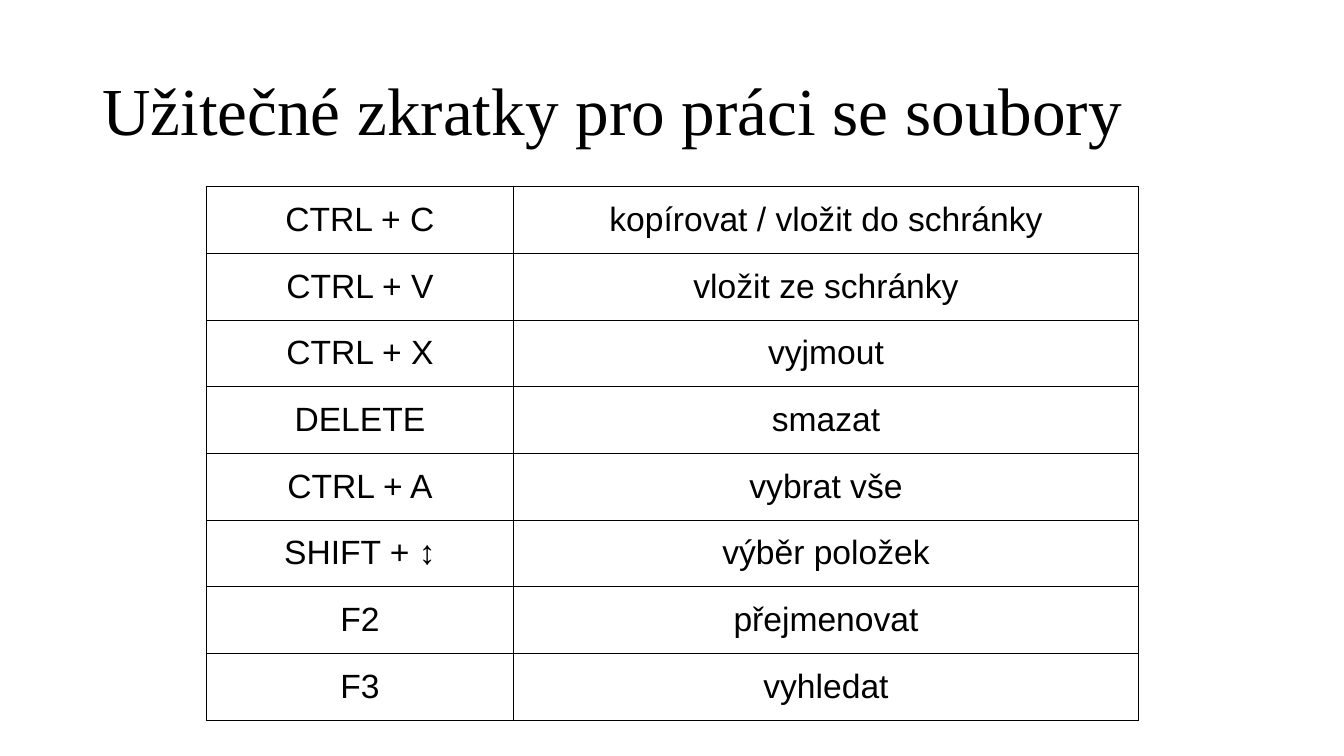
"""Build a slide with a table of keyboard shortcuts for working with files."""
from dataclasses import dataclass

import pptx
import pptx.dml.color
import pptx.enum.text
import pptx.oxml
import pptx.oxml.ns
import pptx.util

Cm = pptx.util.Cm
Pt = pptx.util.Pt
BLACK = "000000"
COLUMN_WIDTHS = (7.74, 15.75)
ROW_HEIGHT = 1.68
CELL_MARGIN = Cm(0.2)


@dataclass(frozen=True)
class Shortcut:
    keys: str
    action: str


SHORTCUTS = (
    Shortcut("CTRL + C", "kopírovat / vložit do schránky"),
    Shortcut("CTRL + V", "vložit ze schránky"),
    Shortcut("CTRL + X", "vyjmout"),
    Shortcut("DELETE", "smazat"),
    Shortcut("CTRL + A", "vybrat vše"),
    Shortcut("SHIFT + ↕", "výběr položek"),
    Shortcut("F2", "přejmenovat"),
    Shortcut("F3", "vyhledat"),
)


def rgb(color: str) -> pptx.dml.color.RGBColor:
    return pptx.dml.color.RGBColor.from_string(color)


def set_font(p, name: str, size: float) -> None:
    p.font.name = name
    p.font.size = Pt(size)
    p.font.bold = False
    p.font.color.rgb = rgb(BLACK)


def set_borders(cell, color: str, width: float) -> None:
    tc_pr = cell._tc.get_or_add_tcPr()
    for position, side in enumerate(("lnL", "lnR", "lnT", "lnB")):
        line = pptx.oxml.parse_xml(
            f'<a:{side} {pptx.oxml.ns.nsdecls("a")} w="{Pt(width)}">'
            f'<a:solidFill><a:srgbClr val="{color}"/></a:solidFill></a:{side}>'
        )
        tc_pr.insert(position, line)


def add_title(s, text: str) -> None:
    sp = s.shapes.add_textbox(Cm(2.33), Cm(1.02), Cm(29.21), Cm(3.68))
    tf = sp.text_frame
    tf.word_wrap = True
    tf.vertical_anchor = pptx.enum.text.MSO_ANCHOR.MIDDLE
    p = tf.paragraphs[0]
    p.text = text
    p.line_spacing = 0.9
    set_font(p, "Times New Roman", 48)


def fill_cell(cell, text: str) -> None:
    cell.fill.background()
    cell.vertical_anchor = pptx.enum.text.MSO_ANCHOR.MIDDLE
    cell.margin_left = cell.margin_right = CELL_MARGIN
    cell.margin_top = cell.margin_bottom = CELL_MARGIN
    p = cell.text_frame.paragraphs[0]
    p.text = text
    p.alignment = pptx.enum.text.PP_ALIGN.CENTER
    set_font(p, "Arial", 24)
    set_borders(cell, BLACK, 0.6)


def add_shortcut_table(s, shortcuts: tuple[Shortcut, ...]) -> None:
    table = s.shapes.add_table(
        len(shortcuts), len(COLUMN_WIDTHS), Cm(5.2), Cm(4.7),
        Cm(sum(COLUMN_WIDTHS)), Cm(ROW_HEIGHT * len(shortcuts)),
    ).table
    table.first_row = False
    table.horz_banding = False
    for column, width in zip(table.columns, COLUMN_WIDTHS):
        column.width = Cm(width)
    for row, shortcut in zip(table.rows, shortcuts):
        row.height = Cm(ROW_HEIGHT)
        for cell, text in zip(row.cells, (shortcut.keys, shortcut.action)):
            fill_cell(cell, text)


def main() -> None:
    prs = pptx.Presentation()
    prs.slide_width = Cm(33.87)
    prs.slide_height = Cm(19.05)
    s = prs.slides.add_slide(prs.slide_layouts[6])
    add_title(s, "Užitečné zkratky pro práci se soubory")
    add_shortcut_table(s, SHORTCUTS)
    prs.save("out.pptx")


if __name__ == "__main__":
    main()
